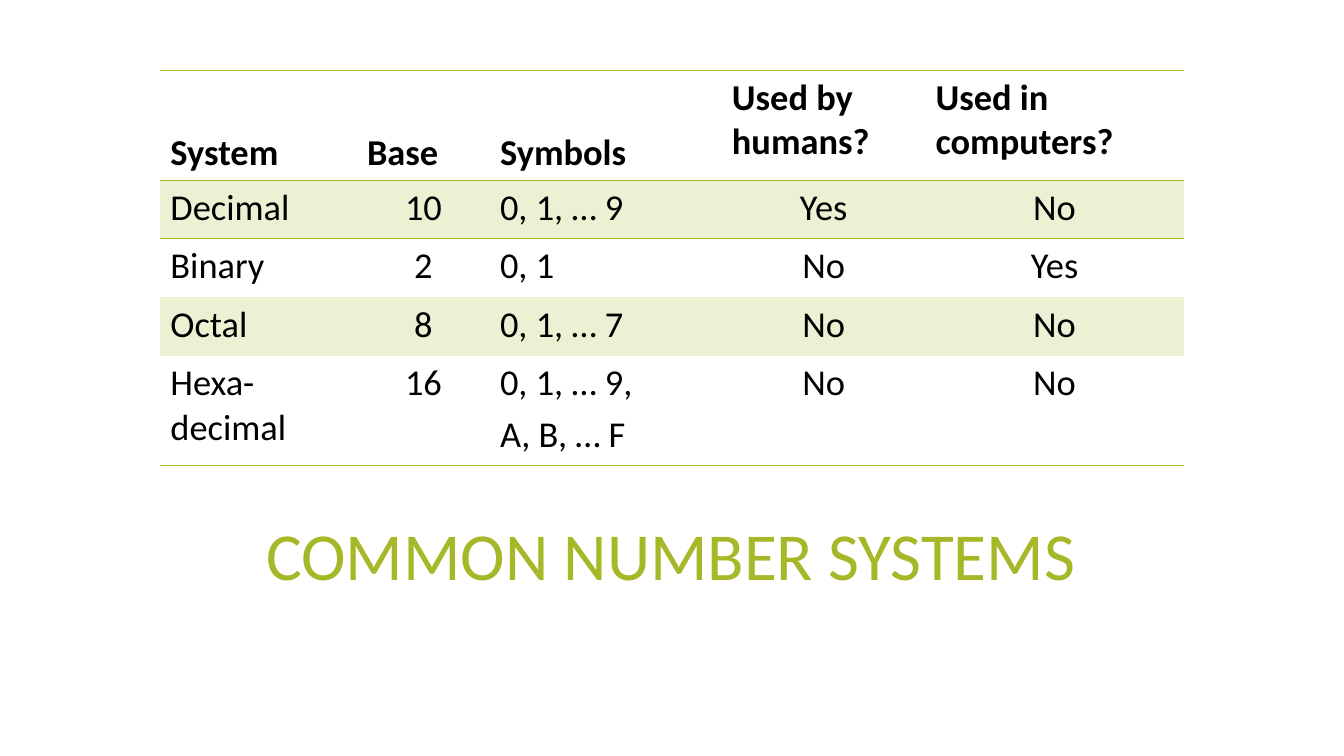
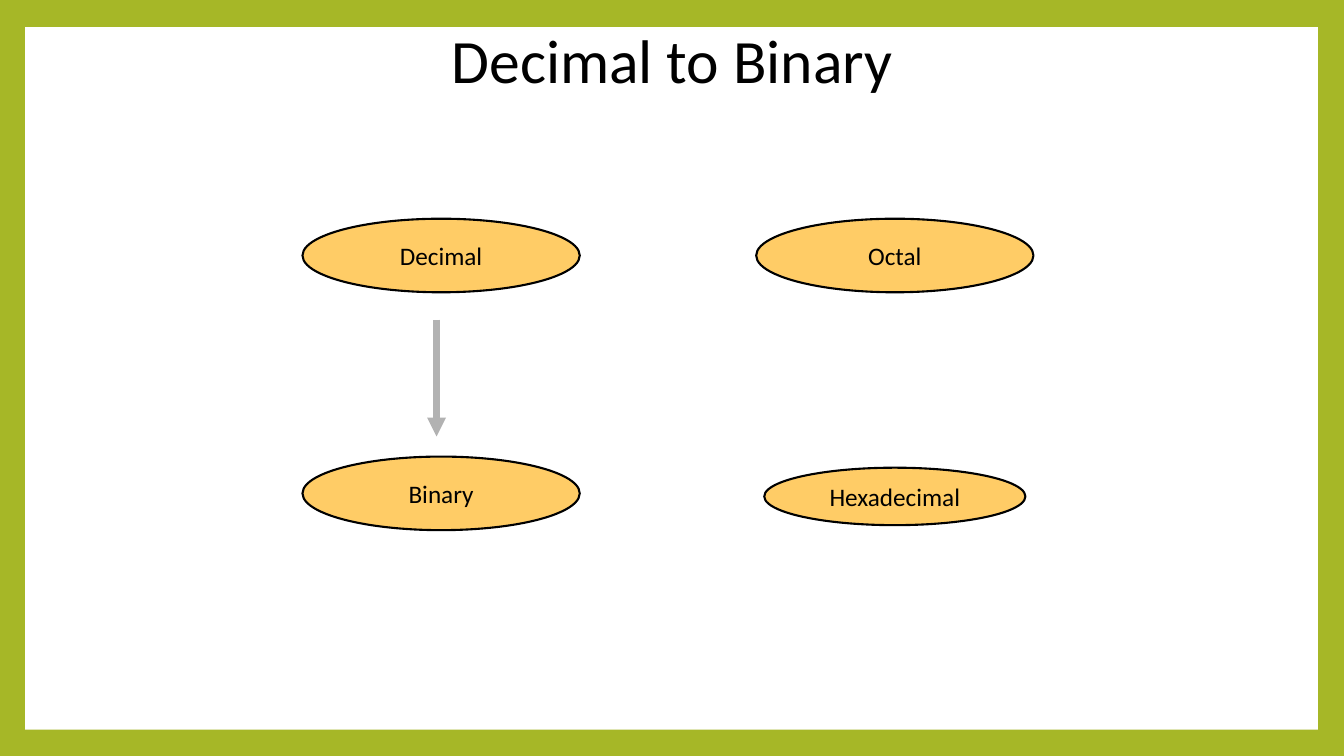
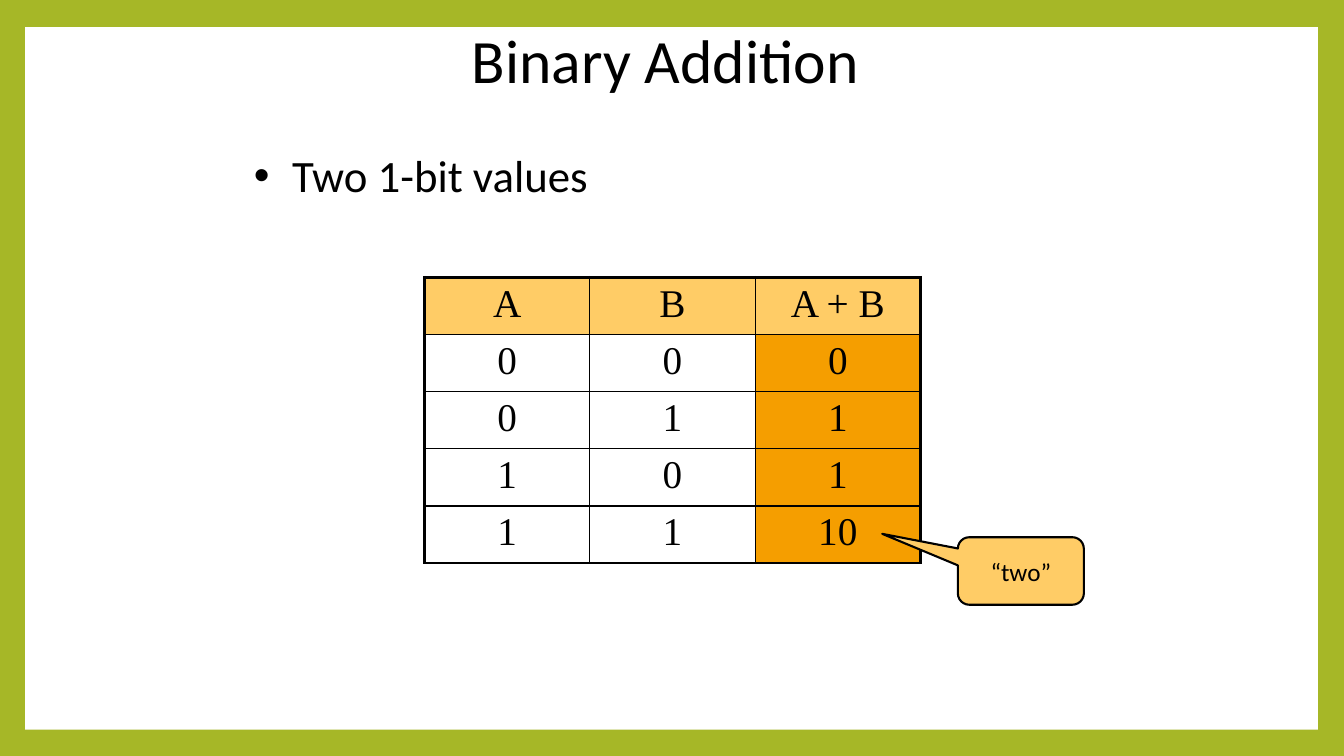
from dataclasses import dataclass

from lxml import etree
from pptx import Presentation
from pptx import util as u
from pptx.dml.color import RGBColor
from pptx.enum import shapes, text
from pptx.oxml import ns

LEFT, CENTER = text.PP_ALIGN.LEFT, text.PP_ALIGN.CENTER
NO_STYLE = "{2D5ABB26-0587-4C30-8999-92F81FD0307C}"


@dataclass(frozen=True)
class Theme:
    """Colours, fonts and type sizes of the deck."""
    green: str = "A6B727"
    pale_green: str = "EDF1D4"
    white: str = "FFFFFF"
    black: str = "000000"
    amber: str = "FFCC66"
    orange: str = "F59E00"
    grey: str = "B2B2B2"
    sans: str = "Calibri"
    serif: str = "Times New Roman"
    banner: float = 48
    title: float = 44
    bullet: float = 32
    sums: float = 28
    table: float = 26
    label: float = 18


class Deck:
    """Holds the theme and the current slide and draws elements on it."""

    def __init__(self, theme):
        """Start an empty widescreen presentation."""
        self.theme = theme
        self.presentation = Presentation()
        self.presentation.slide_width = u.Inches(13.33)
        self.presentation.slide_height = u.Inches(7.5)
        self.slide = None

    def new_slide(self, background):
        """Add a blank slide with a plain background."""
        layout = self.presentation.slide_layouts[6]
        self.slide = self.presentation.slides.add_slide(layout)
        fill = self.slide.background.fill
        fill.solid()
        fill.fore_color.rgb = RGBColor.from_string(background)

    def framed_slide(self, title):
        """Add a green-framed slide with a centred title."""
        self.new_slide(self.theme.green)
        self.shape(shapes.MSO_SHAPE.RECTANGLE, (0.25, 0.27, 12.82, 6.97), self.theme.white)
        self.textbox((2.42, 0.17, 8.5, 0.83), title, self.theme.title, align=CENTER)

    def add_text(self, frame, content, size, color=None, font=None, bold=False, align=LEFT):
        """Add a paragraph per list item, breaking lines at newlines."""
        items = [content] if isinstance(content, str) else content
        for index, item in enumerate(items):
            paragraph = frame.add_paragraph() if index else frame.paragraphs[0]
            paragraph.alignment = align
            if index:
                paragraph.space_before = u.Pt(size * 0.2)
            for number, line in enumerate(item.split("\n")):
                if number:
                    paragraph.add_line_break()
                run = paragraph.add_run()
                run.text = line
                run.font.size = u.Pt(size)
                run.font.name = font or self.theme.sans
                run.font.bold = bold
                run.font.color.rgb = RGBColor.from_string(color or self.theme.black)

    def textbox(self, box, content, size, anchor=text.MSO_ANCHOR.TOP, **style):
        """Add a wrapping text box and return its frame."""
        frame = self.slide.shapes.add_textbox(*map(u.Inches, box)).text_frame
        frame.word_wrap = True
        frame.vertical_anchor = anchor
        self.add_text(frame, content, size, **style)
        return frame

    def bullet(self, box, content):
        """Add a bulleted line with a hanging indent."""
        frame = self.textbox(box, content, self.theme.bullet)
        properties = frame.paragraphs[0]._p.get_or_add_pPr()
        indent = u.Inches(0.38)
        properties.set("marL", str(indent))
        properties.set("indent", str(-indent))
        etree.SubElement(properties, ns.qn("a:buFont"), typeface="Arial")
        etree.SubElement(properties, ns.qn("a:buChar"), char="•")

    def shape(self, kind, box, fill, label=None, wrap=True):
        """Add a filled shape, outlined when it carries a label."""
        shape = self.slide.shapes.add_shape(kind, *map(u.Inches, box))
        shape.shadow.inherit = False
        shape.fill.solid()
        shape.fill.fore_color.rgb = RGBColor.from_string(fill)
        if label is None:
            shape.line.fill.background()
            return shape
        shape.line.color.rgb = RGBColor.from_string(self.theme.black)
        shape.line.width = u.Pt(1.5)
        shape.text_frame.word_wrap = wrap
        shape.text_frame.vertical_anchor = text.MSO_ANCHOR.MIDDLE
        self.add_text(shape.text_frame, label, self.theme.label, align=CENTER)
        return shape

    def arrow(self, start, end):
        """Add a thick grey arrow."""
        connector = self.slide.shapes.add_connector(
            shapes.MSO_CONNECTOR.STRAIGHT, *map(u.Inches, start + end))
        connector.line.color.rgb = RGBColor.from_string(self.theme.grey)
        connector.line.width = u.Pt(4.5)
        outline = connector.element.spPr.find(ns.qn("a:ln"))
        etree.SubElement(outline, ns.qn("a:tailEnd"), type="triangle")
        etree.SubElement(connector.element.spPr, ns.qn("a:effectLst"))

    def table(self, left, top, widths, heights):
        """Add an unstyled table with the given grid."""
        box = (left, top, sum(widths), sum(heights))
        frame = self.slide.shapes.add_table(len(heights), len(widths), *map(u.Inches, box))
        frame.element.find(".//" + ns.qn("a:tableStyleId")).text = NO_STYLE
        table = frame.table
        table.first_row = table.horz_banding = False
        for column, width in zip(table.columns, widths):
            column.width = u.Inches(width)
        for row, height in zip(table.rows, heights):
            row.height = u.Inches(height)
        return table

    def cell(self, cell, content, size, edges, edge_color, fill=None, **style):
        """Fill a cell; edges maps a side (L, R, T, B) to a line width."""
        properties = cell._tc.get_or_add_tcPr()
        for side in "LRTB":
            if side in edges:
                line = etree.SubElement(
                    properties, ns.qn("a:ln" + side), w=str(u.Pt(edges[side])))
                solid = etree.SubElement(line, ns.qn("a:solidFill"))
                etree.SubElement(solid, ns.qn("a:srgbClr"), val=edge_color)
        if fill:
            cell.fill.solid()
            cell.fill.fore_color.rgb = RGBColor.from_string(fill)
        else:
            cell.fill.background()
        self.add_text(cell.text_frame, content, size, **style)


def number_systems(deck):
    """Build the table of common number systems."""
    theme = deck.theme
    deck.new_slide(theme.white)
    deck.textbox((1.91, 4.77, 9.49, 1.17), "COMMON NUMBER SYSTEMS", theme.banner,
                 anchor=text.MSO_ANCHOR.BOTTOM, color=theme.green, align=CENTER)
    rows = [
        ["System", "Base", "Symbols", "Used by humans?", "Used in computers?"],
        ["Decimal", "10", "0, 1, … 9", "Yes", "No"],
        ["Binary", "2", "0, 1", "No", "Yes"],
        ["Octal", "8", "0, 1, … 7", "No", "No"],
        ["Hexa-\ndecimal", "16", ["0, 1, … 9,", "A, B, … F"], "No", "No"],
    ]
    table = deck.table(1.59, 0.7, [1.95, 1.32, 2.3, 2.02, 2.56],
                       [1.09, 0.58, 0.58, 0.58, 1.09])
    edges = {0: {"T": 1, "B": 1}, 1: {"T": 1}, len(rows) - 1: {"B": 1}}
    for r, row in enumerate(rows):
        for c, content in enumerate(row):
            cell = table.cell(r, c)
            deck.cell(cell, content, theme.table, edges.get(r, {}), theme.green,
                      fill=theme.pale_green if r % 2 else None, bold=r == 0,
                      align=CENTER if r and c in (1, 3, 4) else LEFT)
            if r == 0 and c < 3:
                cell.vertical_anchor = text.MSO_ANCHOR.BOTTOM


def decimal_to_binary(deck):
    """Build the conversion diagram."""
    deck.framed_slide("Decimal to Binary")
    systems = {
        "Decimal": (3, 2.17, 2.75, 0.73),
        "Octal": (7.5, 2.17, 2.75, 0.73),
        "Binary": (3, 4.53, 2.75, 0.73),
        "Hexadecimal": (7.58, 4.64, 2.59, 0.57),
    }
    for name, box in systems.items():
        deck.shape(shapes.MSO_SHAPE.OVAL, box, deck.theme.amber, name, wrap=False)
    deck.arrow((4.33, 3.17), (4.33, 4.33))


def binary_addition(deck):
    """Build the one-bit addition table."""
    theme = deck.theme
    deck.framed_slide("Binary Addition ")
    deck.bullet((2.42, 1.42, 8.5, 4.5), "Two 1-bit values")
    sums = [(a, b, f"{a + b:b}") for a in (0, 1) for b in (0, 1)]
    rows = [("A", "B", "A + B")] + sums
    last_row, last_column = len(rows) - 1, len(rows[0]) - 1
    table = deck.table(4.21, 2.75, [1.64] * len(rows[0]), [2.83 / len(rows)] * len(rows))
    for r, row in enumerate(rows):
        for c, value in enumerate(row):
            outer = {"L": c == 0, "R": c == last_column, "T": r == 0, "B": r == last_row}
            edges = {side: 2.25 if is_outer else 1 for side, is_outer in outer.items()}
            fill = theme.amber if r == 0 else theme.orange if c == last_column else None
            deck.cell(table.cell(r, c), str(value), theme.sums, edges, theme.black,
                      fill=fill, font=theme.serif, align=CENTER)
    callout = deck.shape(shapes.MSO_SHAPE.ROUNDED_RECTANGULAR_CALLOUT,
                         (9.5, 5.33, 1.25, 0.67), theme.amber, "“two”")
    for index, value in enumerate((-1.1, -0.55, 0.17)):
        callout.adjustments[index] = value


def main():
    """Build and save the deck."""
    deck = Deck(Theme())
    number_systems(deck)
    decimal_to_binary(deck)
    binary_addition(deck)
    deck.presentation.save("out.pptx")


if __name__ == "__main__":
    main()
